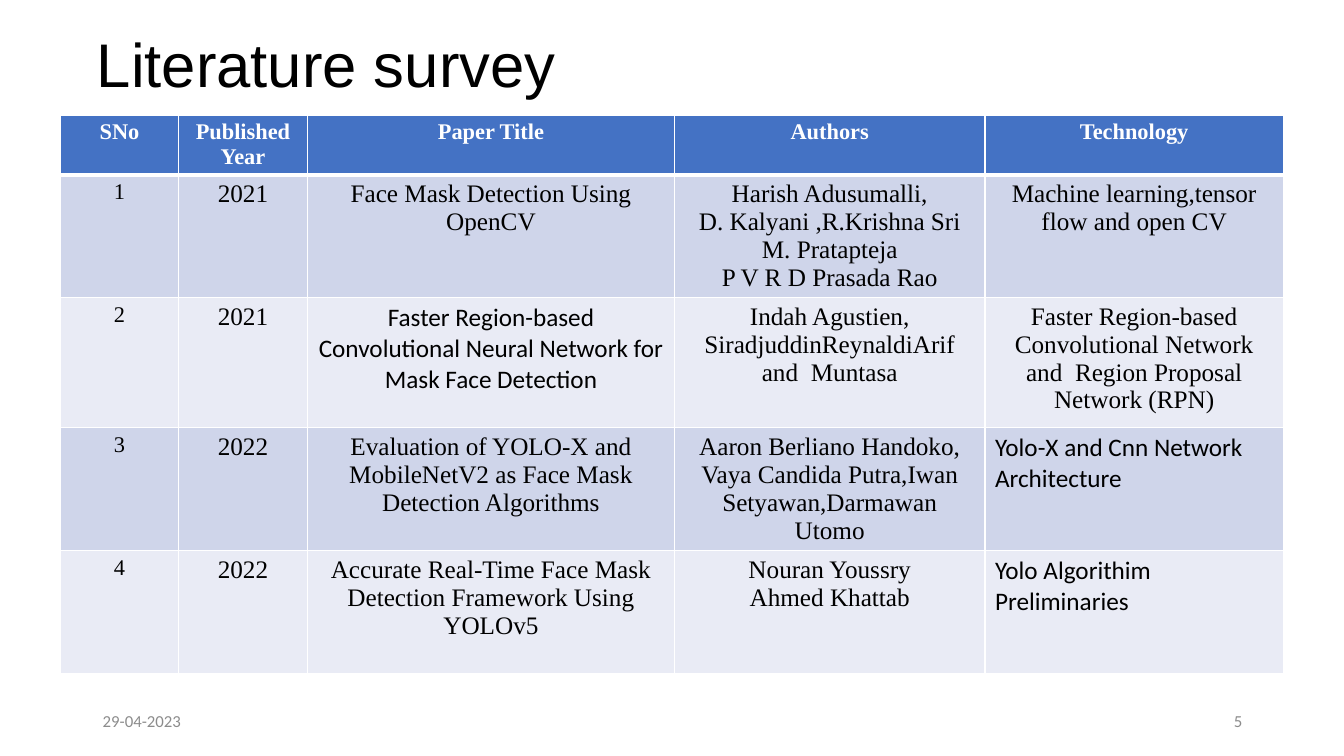
from pptx import Presentation
from pptx.dml.color import RGBColor
from pptx.enum.text import MSO_ANCHOR as Anchor, PP_ALIGN as Align
from pptx.oxml import parse_xml
from pptx.oxml.ns import nsdecls
from pptx.util import Inches, Pt

WHITE = RGBColor(0xFF, 0xFF, 0xFF)
BLACK = RGBColor(0, 0, 0)
GRAY = RGBColor(0x8C, 0x8C, 0x8C)
HEADER_BLUE = RGBColor(0x44, 0x72, 0xC4)
BANDS = (RGBColor(0xCF, 0xD5, 0xEA), RGBColor(0xE9, 0xEB, 0xF5))
SERIF, SANS, TITLE_FONT = "Times New Roman", "Calibri", "Arial"

HEADERS = ["SNo", "Published Year", "Paper Title", "Authors", "Technology"]
PAPERS = [
    ["1", "2021", "Face Mask Detection Using OpenCV",
     "Harish Adusumalli,\nD. Kalyani ,R.Krishna Sri\nM. Pratapteja\nP V R D Prasada Rao",
     "Machine learning,tensor flow and open CV"],
    ["2", "2021",
     "Faster Region-based Convolutional Neural Network for Mask Face Detection",
     "Indah Agustien, SiradjuddinReynaldiArif and  Muntasa",
     "Faster Region-based Convolutional Network and \u00a0Region Proposal Network (RPN)"],
    ["3", "2022",
     "Evaluation of YOLO-X and MobileNetV2 as Face Mask Detection Algorithms",
     "Aaron Berliano Handoko,\nVaya Candida Putra,Iwan Setyawan,Darmawan Utomo",
     "Yolo-X and Cnn Network Architecture"],
    ["4", "2022",
     "Accurate Real-Time Face Mask Detection Framework Using YOLOv5",
     "Nouran Youssry\nAhmed Khattab",
     "Yolo Algorithim Preliminaries"],
]
COLUMN_WIDTHS = [1.17, 1.28, 3.64, 3.08, 2.96]
ROW_HEIGHTS = [0.59, 1.22, 1.29, 1.22, 1.22]
SANS_CELLS = {(2, 2), (3, 4), (4, 4)}
LEFT_CELLS = {(3, 4), (4, 4)}


class SlideBuilder:
    def __init__(self, presentation):
        self.slide = presentation.slides.add_slide(presentation.slide_layouts[5])

    def set_text(self, frame, text, font, size, color, align, bold=False):
        frame.text = text
        for paragraph in frame.paragraphs:
            paragraph.alignment = align
            paragraph.font.name = font
            paragraph.font.size = Pt(size)
            paragraph.font.bold = bold
            paragraph.font.color.rgb = color

    def title(self, text, left, top, width, height):
        title = self.slide.shapes.title
        title.left, title.top = Inches(left), Inches(top)
        title.width, title.height = Inches(width), Inches(height)
        title.text_frame.vertical_anchor = Anchor.MIDDLE
        self.set_text(title.text_frame, text, TITLE_FONT, 44, BLACK, Align.LEFT)
        title.text_frame.paragraphs[0].line_spacing = 0.9

    def footer(self, text, left, align):
        box = self.slide.shapes.add_textbox(
            Inches(left), Inches(6.95), Inches(3), Inches(0.4))
        box.text_frame.word_wrap = True
        box.text_frame.vertical_anchor = Anchor.MIDDLE
        self.set_text(box.text_frame, text, SANS, 12, GRAY, align)

    def borders(self, cell, bottom_width):
        properties = cell._tc.get_or_add_tcPr()
        widths = {"lnL": 1, "lnR": 1, "lnT": 1, "lnB": bottom_width}
        for index, (side, width) in enumerate(widths.items()):
            properties.insert(index, parse_xml(
                f'<a:{side} {nsdecls("a")} w="{Pt(width)}"><a:solidFill>'
                f'<a:srgbClr val="{WHITE}"/></a:solidFill></a:{side}>'))

    def table(self, rows, left, top):
        table = self.slide.shapes.add_table(
            len(rows), len(COLUMN_WIDTHS), Inches(left), Inches(top),
            Inches(sum(COLUMN_WIDTHS)), Inches(sum(ROW_HEIGHTS))).table
        for column, width in zip(table.columns, COLUMN_WIDTHS):
            column.width = Inches(width)
        for row, height in zip(table.rows, ROW_HEIGHTS):
            row.height = Inches(height)
        for row, texts in enumerate(rows):
            header = row == 0
            for column, text in enumerate(texts):
                cell = table.cell(row, column)
                cell.fill.solid()
                cell.fill.fore_color.rgb = HEADER_BLUE if header else BANDS[(row - 1) % 2]
                self.borders(cell, 3 if header else 1)
                self.set_text(
                    cell.text_frame, text,
                    SANS if (row, column) in SANS_CELLS else SERIF,
                    16 if header or column == 0 else 18,
                    WHITE if header else BLACK,
                    Align.LEFT if (row, column) in LEFT_CELLS else Align.CENTER,
                    bold=header)


presentation = Presentation()
presentation.slide_width = Inches(13.33)
presentation.slide_height = Inches(7.5)
builder = SlideBuilder(presentation)

# Title
builder.title("Literature survey", 0.86, 0.2, 11.5, 0.94)

# Survey table
builder.table([HEADERS] + PAPERS, 0.6, 1.14)

# Date and slide number
builder.footer("29-04-2023", 0.92, Align.LEFT)
builder.footer("5", 9.42, Align.RIGHT)

presentation.save("out.pptx")
